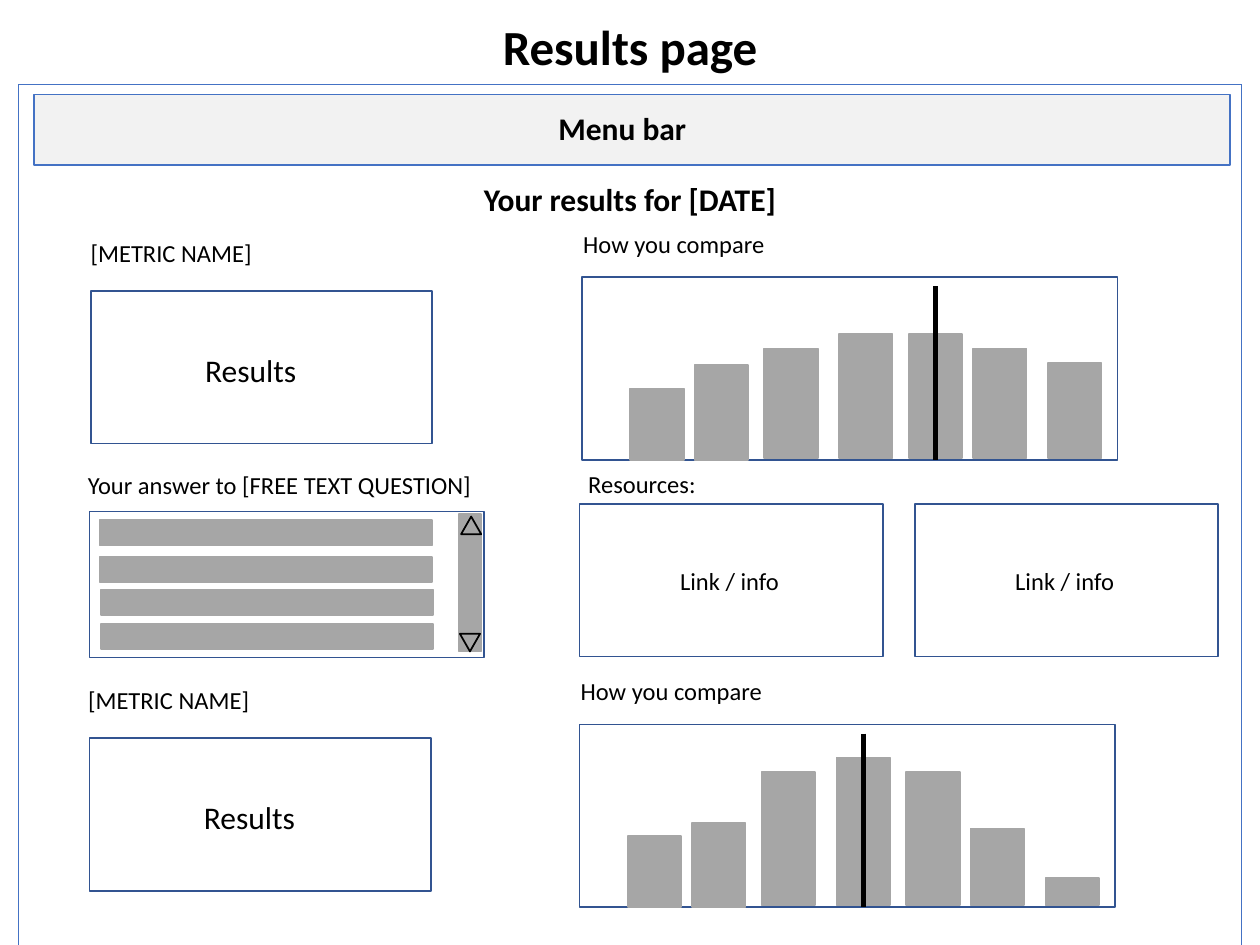
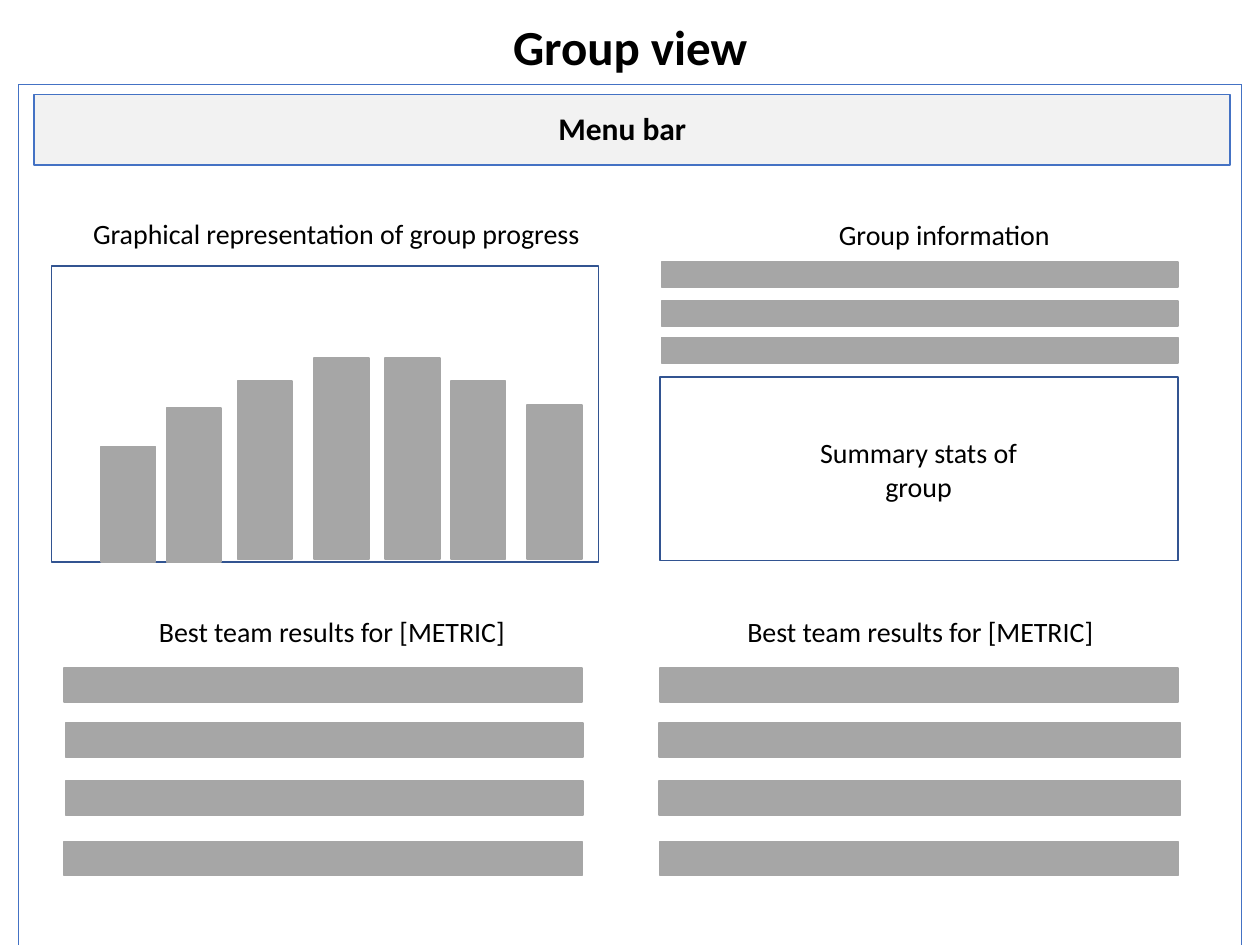
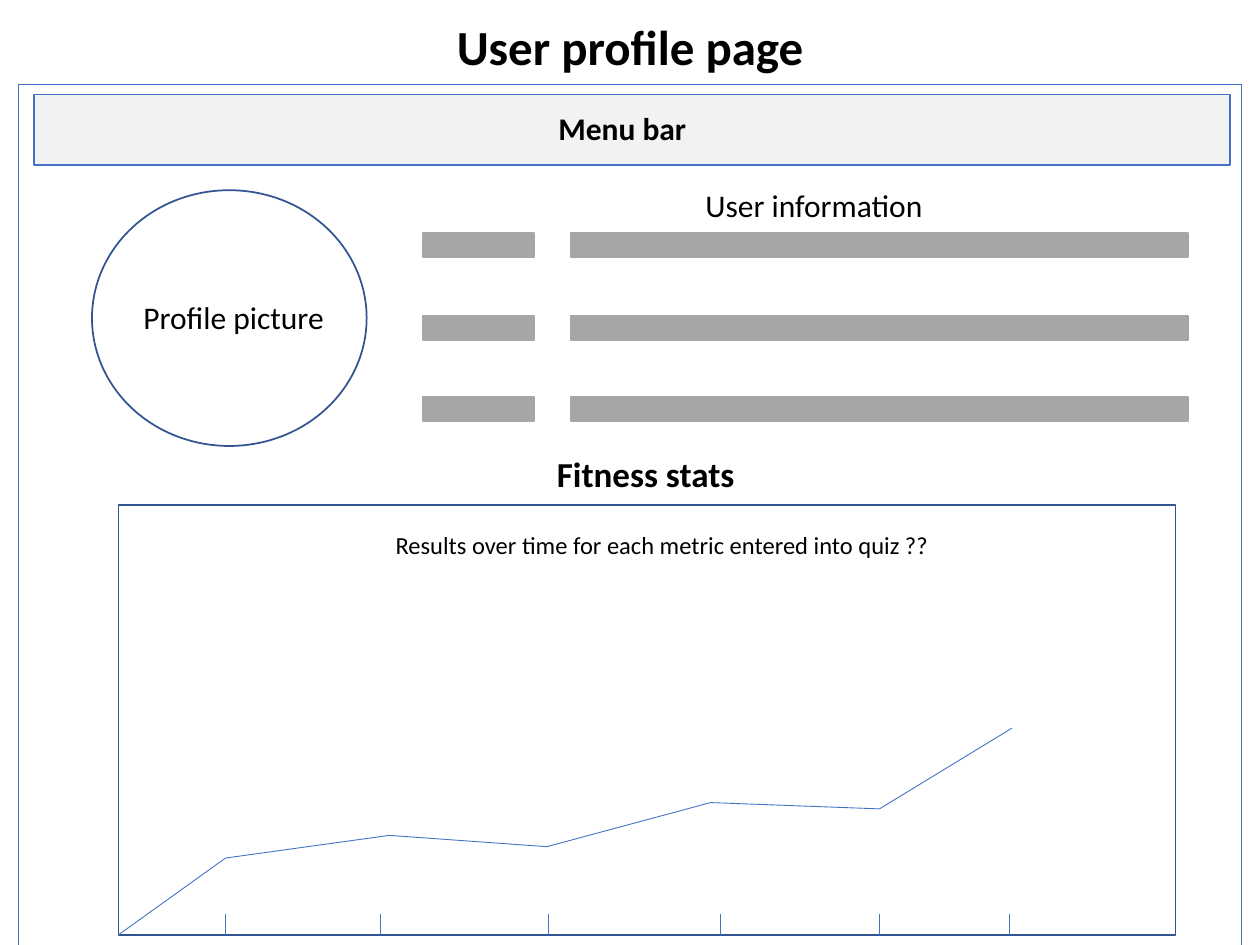
from dataclasses import dataclass
from itertools import pairwise

from lxml.etree import SubElement
from pptx import Presentation
from pptx.dml.color import RGBColor
from pptx.enum.shapes import MSO_CONNECTOR as Connector
from pptx.enum.shapes import MSO_SHAPE as Preset
from pptx.enum.text import MSO_ANCHOR as Anchor
from pptx.enum.text import MSO_AUTO_SIZE as AutoSize
from pptx.enum.text import PP_ALIGN as Align
from pptx.oxml.ns import qn
from pptx.shapes.autoshape import Shape
from pptx.shapes.shapetree import GroupShapes, SlideShapes
from pptx.slide import Slide
from pptx.util import Inches, Pt

Canvas = SlideShapes | GroupShapes
Point = tuple[float, float]


@dataclass(frozen=True)
class Theme:
    font: str = "Calibri"
    ink: str = "000000"
    accent: str = "4472C4"
    outline: str = "325491"
    filler: str = "A6A6A6"
    menu: str = "F2F2F2"
    paper: str = "FFFFFF"
    title: float = 28
    section: float = 20
    heading: float = 18
    label: float = 16
    small: float = 14
    hairline: float = 0.5
    stroke: float = 1
    marker: float = 3


@dataclass(frozen=True)
class Box:
    column: float
    row: float
    columns: float
    rows: float

    def share(self, left: float, top: float, width: float, height: float) -> "Box":
        return Box(self.column + left * self.columns, self.row + top * self.rows,
                   width * self.columns, height * self.rows)


@dataclass(frozen=True)
class Label:
    text: str
    box: Box
    size: float
    bold: bool = False
    align: Align = Align.LEFT
    wrap: bool = True


@dataclass(frozen=True)
class BarSketch:
    frame: Box
    heights: tuple[float, ...]
    marker: float | None = None


THEME = Theme()
CELL = Inches(0.1)
COLUMNS, ROWS = 100, 75
PAGE_LEFT, PAGE_TOP, PAGE_RIGHT = 1.5, 6.7, 98.5
BAR_LEFTS = (0.09, 0.21, 0.34, 0.48, 0.61, 0.73, 0.87)
BAR_WIDTH = 0.1
BAR_BOTTOMS = (1, 1) + (0.99,) * 5
HILL = (0.39, 0.52, 0.6, 0.68, 0.68, 0.6, 0.52)
PEAK = (0.39, 0.46, 0.73, 0.81, 0.73, 0.42, 0.15)


def color(value: str) -> RGBColor:
    return RGBColor.from_string(value)


def cells(value: float) -> int:
    return round(value * CELL)


def place(shape: Shape, box: Box) -> None:
    shape.left, shape.top = cells(box.column), cells(box.row)
    shape.width, shape.height = cells(box.columns), cells(box.rows)


def format_text(shape: Shape, label: Label) -> None:
    frame = shape.text_frame
    frame.text = label.text
    frame.word_wrap = label.wrap
    paragraph = frame.paragraphs[0]
    paragraph.alignment = label.align
    font = paragraph.runs[0].font
    font.name, font.size, font.bold = THEME.font, Pt(label.size), label.bold
    font.color.rgb = color(THEME.ink)


def draw_label(canvas: Canvas, label: Label) -> None:
    shape = canvas.add_textbox(0, 0, 0, 0)
    place(shape, label.box)
    format_text(shape, label)
    shape.text_frame.auto_size = AutoSize.SHAPE_TO_FIT_TEXT


def draw_shape(canvas: Canvas, box: Box, fill: str | None = None,
               line: str = THEME.outline, preset: Preset = Preset.RECTANGLE) -> Shape:
    shape = canvas.add_shape(preset, *map(cells, (box.column, box.row, box.columns, box.rows)))
    shape.shadow.inherit = False
    if fill:
        shape.fill.solid()
        shape.fill.fore_color.rgb = color(fill)
    else:
        shape.fill.background()
    shape.line.color.rgb = color(line)
    shape.line.width = Pt(THEME.stroke)
    return shape


def draw_filler(canvas: Canvas, box: Box) -> None:
    draw_shape(canvas, box, THEME.filler, THEME.filler)


def draw_fillers(canvas: Canvas, first: Box, rows: tuple[float, ...]) -> None:
    for row in rows:
        draw_filler(canvas, Box(first.column, row, first.columns, first.rows))


def draw_line(canvas: Canvas, start: Point, end: Point,
              line: str = THEME.accent, width: float = THEME.hairline) -> None:
    connector = canvas.add_connector(Connector.STRAIGHT, *map(cells, start + end))
    connector.line.color.rgb = color(line)
    connector.line.width = Pt(width)
    SubElement(connector.element.spPr, qn("a:effectLst"))


def draw_bars(slide: Slide, sketch: BarSketch) -> None:
    canvas = slide.shapes.add_group_shape().shapes
    frame = sketch.frame
    draw_shape(canvas, frame)
    for left, bottom, height in zip(BAR_LEFTS, BAR_BOTTOMS, sketch.heights):
        draw_filler(canvas, frame.share(left, bottom - height, BAR_WIDTH, height))
    if sketch.marker is not None:
        line = frame.share(sketch.marker, 0.05, 0, 0.95)
        draw_line(canvas, (line.column, line.row), (line.column, line.row + line.rows),
                  THEME.ink, THEME.marker)


def draw_card(slide: Slide, box: Box, label: Label, fill: str | None = None) -> None:
    canvas = slide.shapes.add_group_shape().shapes
    draw_shape(canvas, box, fill)
    draw_label(canvas, label)


def add_page(presentation: Presentation, title: str) -> Slide:
    slide = presentation.slides.add_slide(presentation.slide_layouts[5])
    heading = slide.shapes.title
    label = Label(title, Box(17.9, 0.8, 64.2, 5.7), THEME.title, True, Align.CENTER)
    place(heading, label.box)
    format_text(heading, label)
    heading.text_frame.vertical_anchor = Anchor.TOP
    heading.text_frame.auto_size = AutoSize.NONE
    corners = ((PAGE_LEFT, ROWS), (PAGE_LEFT, PAGE_TOP),
               (PAGE_RIGHT, PAGE_TOP), (PAGE_RIGHT, ROWS))
    for start, end in pairwise(corners):
        draw_line(slide.shapes, start, end)
    draw_shape(slide.shapes, Box(2.7, 7.5, 94.9, 5.6), THEME.menu, THEME.accent)
    draw_label(slide.shapes, Label("Menu bar", Box(26.1, 8.2, 46.6, 4),
                                   THEME.heading, True, Align.CENTER))
    return slide


def draw_answer(slide: Slide) -> None:
    shapes = slide.shapes
    draw_label(shapes, Label("Your answer to [FREE TEXT QUESTION]",
                             Box(6, 36.8, 33.6, 3.4), THEME.small))
    draw_shape(shapes, Box(7.1, 40.6, 31.3, 11.6))
    draw_fillers(shapes, Box(7.9, 0, 26.4, 2), (41.3, 44.2))
    draw_fillers(shapes, Box(8, 0, 26.4, 2), (46.8, 49.5))
    draw_filler(shapes, Box(36.4, 40.8, 1.8, 10.9))
    for column, row, turn in ((36.6, 41, 0), (36.5, 50.3, 180)):
        arrow = draw_shape(shapes, Box(column, row, 1.6, 1.4), THEME.filler,
                           THEME.ink, Preset.ISOSCELES_TRIANGLE)
        arrow.rotation = turn


def build_results(presentation: Presentation) -> None:
    slide = add_page(presentation, "Results page")
    shapes = slide.shapes
    draw_label(shapes, Label("Your results for [DATE]", Box(34.5, 13.8, 31, 4),
                             THEME.heading, True, Align.CENTER))
    metrics = ((7.2, 23.1, 6.2, BarSketch(Box(46.2, 22, 42.5, 14.5), HILL, 0.66)),
               (7.1, 58.6, 6, BarSketch(Box(46, 57.5, 42.5, 14.5), PEAK, 0.53)))
    for column, row, name_column, sketch in metrics:
        draw_label(shapes, Label("[METRIC NAME]", Box(name_column, row - 4.7, 15.2, 3.4),
                                 THEME.small))
        draw_shape(shapes, Box(column, row, 27.1, 12.1))
        draw_label(shapes, Label("Results", Box(column + 8.1, row + 4.25, 9.3, 4),
                                 THEME.heading, wrap=False))
        frame = sketch.frame
        draw_label(shapes, Label("How you compare",
                                 Box(frame.column - 0.9, frame.row - 4.3, 17.8, 3.4),
                                 THEME.small))
        draw_bars(slide, sketch)
    draw_answer(slide)
    draw_label(shapes, Label("Resources:", Box(45.7, 36.7, 33.6, 3.4), THEME.small))
    for column in (46, 72.6):
        draw_card(slide, Box(column, 40, 24.1, 12.1),
                  Label("Link / info", Box(column + 1.35, 44.4, 21.1, 3.4),
                        THEME.small, align=Align.CENTER))


def build_group(presentation: Presentation) -> None:
    slide = add_page(presentation, "Group view")
    shapes = slide.shapes
    draw_label(shapes, Label("Graphical representation of group progress",
                             Box(1.5, 16.7, 50.4, 3.7), THEME.label, align=Align.CENTER))
    draw_bars(slide, BarSketch(Box(4.1, 21.1, 43.4, 23.5), HILL))
    draw_label(shapes, Label("Group information", Box(65.6, 16.8, 21.7, 3.7), THEME.label))
    draw_fillers(shapes, Box(52.5, 0, 41, 2), (20.8, 23.9, 26.8))
    draw_card(slide, Box(52.4, 29.9, 41.1, 14.6),
              Label("Summary stats of group", Box(61.5, 34.1, 22.8, 6.4),
                    THEME.label, align=Align.CENTER), THEME.paper)
    for label_column, column, inner_column, inner_columns in (
            (7.8, 5.1, 5.2, 41.1), (54.5, 52.4, 52.3, 41.4)):
        draw_label(shapes, Label("Best team results for [METRIC]",
                                 Box(label_column, 48.3, 37.1, 3.7),
                                 THEME.label, align=Align.CENTER))
        draw_fillers(shapes, Box(column, 0, 41.1, 2.7), (53, 66.8))
        draw_fillers(shapes, Box(inner_column, 0, inner_columns, 2.7), (57.4, 62))


def draw_fitness(slide: Slide) -> None:
    canvas = slide.shapes.add_group_shape().shapes
    frame = Box(9.4, 40.1, 83.9, 34.1)
    floor = frame.row + frame.rows
    draw_shape(canvas, frame)
    points = ((frame.column, floor), (17.9, 68.1), (30.9, 66.3), (43.4, 67.2),
              (56.4, 63.7), (69.8, 64.2), (80.3, 57.8))
    for start, end in pairwise(points):
        draw_line(canvas, start, end)
    for column in (17.9, 30.2, 43.5, 57.2, 69.8, 80.1):
        draw_line(canvas, (column, floor - 1.7), (column, floor))


def build_profile(presentation: Presentation) -> None:
    slide = add_page(presentation, "User profile page")
    shapes = slide.shapes
    draw_shape(shapes, Box(7.3, 15.1, 21.8, 20.3), preset=Preset.OVAL)
    draw_label(shapes, Label("Profile picture", Box(10.4, 23.2, 21.7, 4), THEME.heading))
    draw_label(shapes, Label("User information", Box(55, 14.3, 21.7, 4), THEME.heading))
    for column, columns in ((33.6, 8.8), (45.3, 49)):
        draw_fillers(shapes, Box(column, 0, columns, 1.9), (18.5, 25.1, 31.5))
    draw_label(shapes, Label("Fitness stats", Box(33, 35.4, 36.5, 4.4),
                             THEME.section, True, Align.CENTER))
    draw_label(shapes, Label("Results over time for each metric entered into quiz ??",
                             Box(9.7, 41.6, 85.7, 3.4), THEME.small, align=Align.CENTER))
    draw_fitness(slide)


def main() -> None:
    presentation = Presentation()
    presentation.slide_width = COLUMNS * CELL
    presentation.slide_height = ROWS * CELL
    for build in (build_results, build_group, build_profile):
        build(presentation)
    presentation.save("out.pptx")


main()
